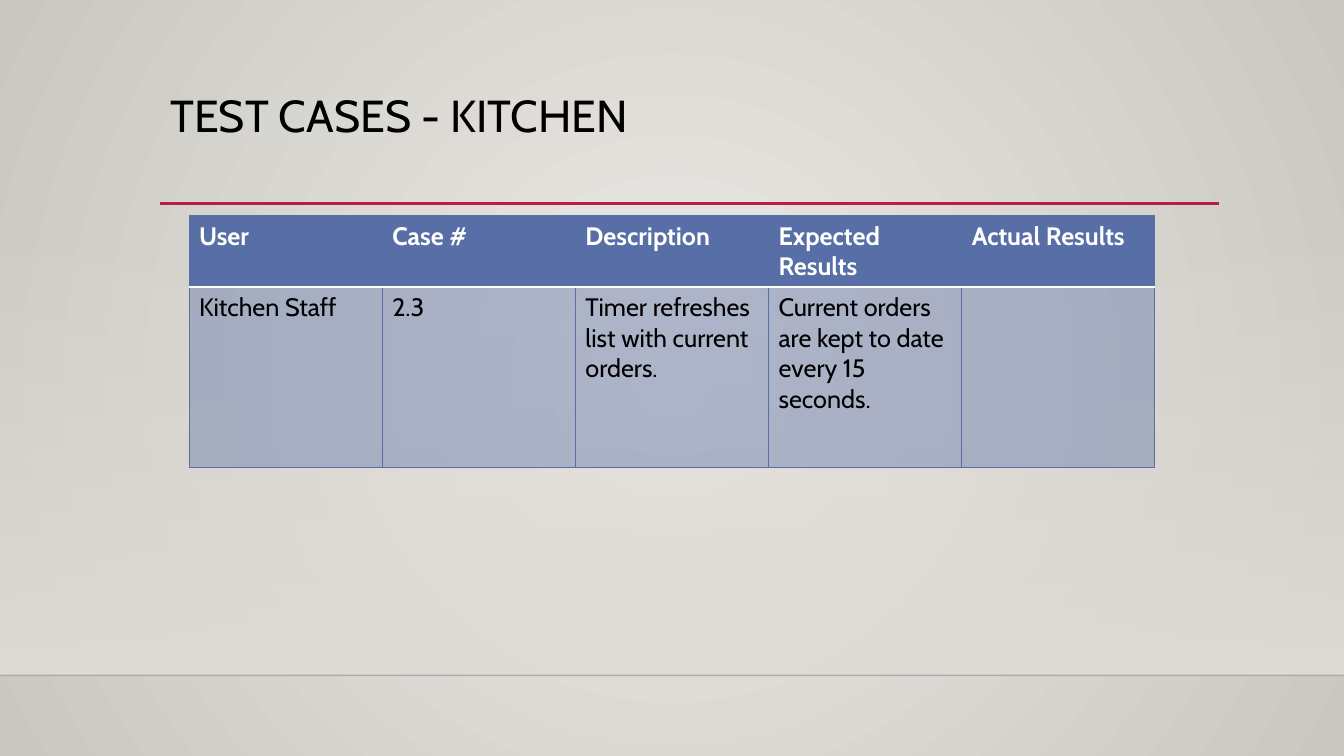
from lxml.etree import SubElement
from pptx import Presentation
from pptx.dml.color import RGBColor
from pptx.enum.shapes import MSO_CONNECTOR, MSO_SHAPE
from pptx.enum.text import MSO_ANCHOR
from pptx.oxml.ns import qn
from pptx.util import Pt

TITLE = "TEST CASES - KITCHEN"
ROWS = [
    ["User", "Case #", "Description", "Expected Results", "Actual Results"],
    ["Kitchen Staff", "2.3", "Timer refreshes list with current orders.",
     "Current orders are kept to date every 15 seconds.", ""],
]
ROW_HEIGHTS = [51, 129]
COLUMN_WIDTH = 138
TABLE_LEFT, TABLE_TOP = 135, 154
PAGE_WIDTH, PAGE_HEIGHT = 960, 540
FLOOR_Y, BAND_TOP = 482.4, 159
FONT = "Cabin"

BLACK = RGBColor(0x00, 0x00, 0x00)
WHITE = RGBColor(0xFF, 0xFF, 0xFF)
BLUE = RGBColor(0x58, 0x6E, 0xA6)
RED = RGBColor(0xB7, 0x1E, 0x42)
FLOOR = RGBColor(0x00, 0x00, 0x01)
SAND = RGBColor(0xDF, 0xDB, 0xD5)
CENTRE = RGBColor(0xEC, 0xEA, 0xE7)
EDGE = RGBColor(0xCA, 0xC7, 0xC1)


def set_alpha(color_parent, percent):
    color = color_parent.find(".//" + qn("a:srgbClr"))
    SubElement(color, qn("a:alpha"), val=str(percent * 1000))


def set_gradient(fill, first, last):
    fill.gradient()
    for stop, color, position in zip(fill.gradient_stops, (first, last), (0, 1)):
        stop.color.rgb = color
        stop.position = position


def add_rule(page, left, right, y, color, width):
    rule = page.shapes.add_connector(
        MSO_CONNECTOR.STRAIGHT, Pt(left), Pt(y), Pt(right), Pt(y))
    rule.line.color.rgb = color
    rule.line.width = Pt(width)
    SubElement(rule._element.spPr, qn("a:effectLst"))
    return rule


def add_border(cell, side, color, width):
    properties = cell._tc.get_or_add_tcPr()
    line = SubElement(properties, qn("a:ln" + side), w=str(Pt(width)))
    solid = SubElement(line, qn("a:solidFill"))
    SubElement(solid, qn("a:srgbClr"), val=str(color))


def style_cell(cell, text, is_header):
    white_side = "B" if is_header else "T"
    for side in "LRTB":
        if side == white_side:
            add_border(cell, side, WHITE, 1.25)
        else:
            add_border(cell, side, BLUE, 0.75)
    cell.fill.solid()
    cell.fill.fore_color.rgb = BLUE
    if not is_header:
        set_alpha(cell._tc.tcPr.find(qn("a:solidFill")), 40)
    cell.text = text
    font = cell.text_frame.paragraphs[0].font
    font.name, font.size, font.bold = FONT, Pt(18), is_header
    font.color.rgb = WHITE if is_header else BLACK


deck = Presentation()
deck.slide_width, deck.slide_height = Pt(PAGE_WIDTH), Pt(PAGE_HEIGHT)
page = deck.slides.add_slide(deck.slide_layouts[6])

set_gradient(page.background.fill, CENTRE, EDGE)
backdrop = page._element.find(".//" + qn("a:gradFill"))
backdrop.remove(backdrop.find(qn("a:lin")))
radial = SubElement(backdrop, qn("a:path"), path="circle")
SubElement(radial, qn("a:fillToRect"), l="50000", t="50000", r="50000", b="50000")

band = page.shapes.add_shape(
    MSO_SHAPE.RECTANGLE, 0, Pt(BAND_TOP), Pt(PAGE_WIDTH), Pt(FLOOR_Y - BAND_TOP))
band.shadow.inherit = False
band.line.fill.background()
set_gradient(band.fill, SAND, SAND)
band.fill.gradient_angle = 270
set_alpha(band._element.spPr.find(qn("a:gradFill")), 0)

floor_line = add_rule(page, 0, PAGE_WIDTH, FLOOR_Y, FLOOR, 1)
set_alpha(floor_line._element.spPr.find(qn("a:ln")), 20)
add_rule(page, 114.5, 871, 145.4, RED, 2.5)

title_box = page.shapes.add_textbox(Pt(114.5), Pt(63.4), Pt(756), Pt(82.8))
title_box.text_frame.word_wrap = True
title_box.text_frame.vertical_anchor = MSO_ANCHOR.TOP
para = title_box.text_frame.paragraphs[0]
para.text = TITLE
para.line_spacing = 0.9
para.font.name, para.font.size = FONT, Pt(32)
para.font.color.rgb = BLACK

table = page.shapes.add_table(
    len(ROWS), len(ROWS[0]), Pt(TABLE_LEFT), Pt(TABLE_TOP),
    Pt(COLUMN_WIDTH * len(ROWS[0])), Pt(sum(ROW_HEIGHTS))).table
for column in table.columns:
    column.width = Pt(COLUMN_WIDTH)
for row_index, (texts, height) in enumerate(zip(ROWS, ROW_HEIGHTS)):
    table.rows[row_index].height = Pt(height)
    for column_index, text in enumerate(texts):
        style_cell(table.cell(row_index, column_index), text, row_index == 0)

deck.save("out.pptx")
